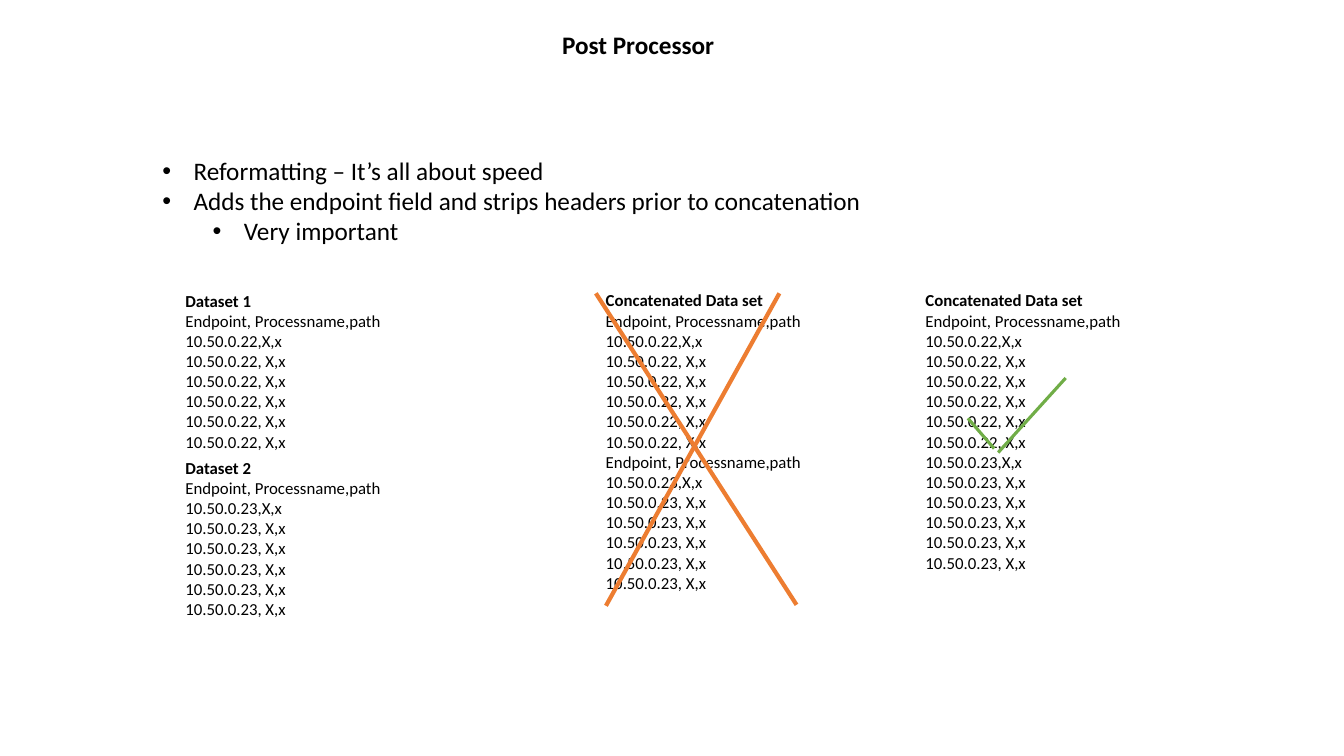
from lxml import etree
from pptx import Presentation
from pptx.dml.color import RGBColor
from pptx.enum import shapes, text
from pptx.oxml.ns import qn
from pptx.util import Inches, Pt

COLORS = {"text": "000000", "cross": "ED7D31", "check": "70AD47"}
FONT = "Calibri"


def place(shape, left, top, width, height):
    shape.left, shape.top = Inches(left), Inches(top)
    shape.width, shape.height = Inches(width), Inches(height)


def write(frame, lines, size, bold_first=False):
    frame.text = "\n".join(lines)
    frame.vertical_anchor = text.MSO_ANCHOR.TOP
    frame.auto_size = text.MSO_AUTO_SIZE.NONE
    frame.word_wrap = True
    for number, paragraph in enumerate(frame.paragraphs):
        paragraph.space_before = Pt(0)
        paragraph.font.name = FONT
        paragraph.font.size = Pt(size)
        paragraph.font.bold = bold_first and number == 0
        paragraph.font.color.rgb = RGBColor.from_string(COLORS["text"])


deck = Presentation()
deck.slide_width, deck.slide_height = Inches(13.33), Inches(7.5)
slide = deck.slides.add_slide(deck.slide_layouts[1])

title = slide.shapes.title
place(title, 5.47, 0.24, 1.72, 0.4)
write(title.text_frame, ["Post Processor"], 18, bold_first=True)
title.text_frame.word_wrap = False

points = slide.placeholders[1]
place(points, 1.51, 1.49, 7.22, 1.31)
write(points.text_frame, [
    "Reformatting – It’s all about speed",
    "Adds the endpoint field and strips headers prior to concatenation",
    "Very important",
], 18)
for point, level in zip(points.text_frame.paragraphs, (0, 0, 1)):
    point.level = level
    properties = point._p.get_or_add_pPr()
    properties.set("marL", str(Inches(0.31 + 0.5 * level)))
    properties.set("indent", str(Inches(-0.31)))
    etree.SubElement(properties, qn("a:buFont")).set("typeface", "Arial")
    etree.SubElement(properties, qn("a:buChar")).set("char", "•")

header = ["Endpoint, Processname,path"]
rows_22, rows_23 = (
    [f"10.50.0.{host},X,x"] + [f"10.50.0.{host}, X,x"] * 5 for host in (22, 23)
)
datasets = [
    ("Dataset 1", header + rows_22, 1.74, 2.83, 2.16, 1.92),
    ("Dataset 2", header + rows_23, 1.74, 4.49, 2.16, 2.02),
    ("Concatenated Data set", header + rows_22 + header + rows_23, 5.91, 2.83, 2.16, 3.53),
    ("Concatenated Data set", header + rows_22 + rows_23, 9.08, 2.83, 2.62, 3.33),
]
for heading, rows, left, top, width, height in datasets:
    dataset = slide.shapes.add_textbox(
        Inches(left), Inches(top), Inches(width), Inches(height))
    write(dataset.text_frame, [heading] + rows, 12, bold_first=True)

strokes = [
    ("cross", 3, 5.91, 2.91, 7.9, 6),
    ("cross", 3, 7.73, 2.91, 6.01, 6.01),
    ("check", 2.25, 9.6, 4.15, 9.86, 4.45),
    ("check", 2.25, 9.9, 4.49, 10.57, 3.75),
]
for mark, weight, *ends in strokes:
    stroke = slide.shapes.add_connector(
        shapes.MSO_CONNECTOR.STRAIGHT, *[Inches(end) for end in ends])
    stroke.line.color.rgb = RGBColor.from_string(COLORS[mark])
    stroke.line.width = Pt(weight)
    etree.SubElement(stroke._element.spPr, qn("a:effectLst"))

deck.save("out.pptx")
